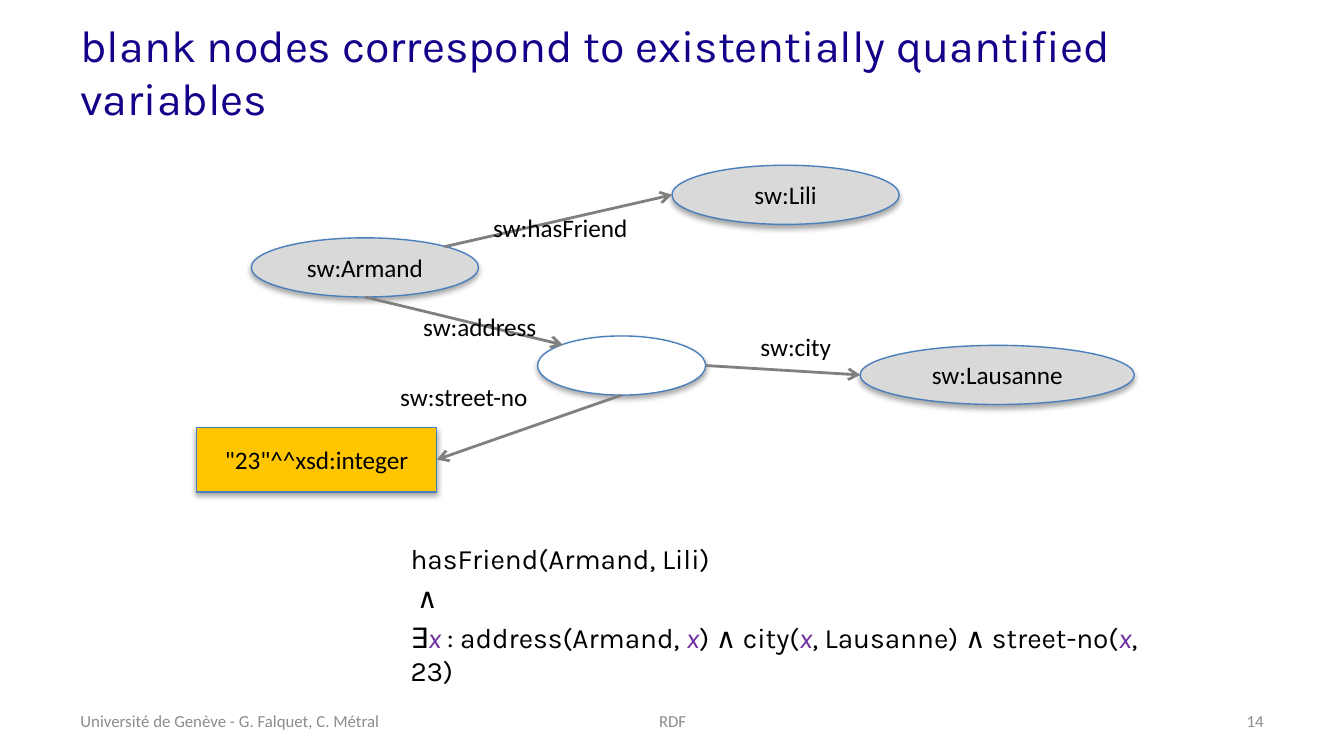
from dataclasses import dataclass

from lxml.etree import SubElement
from pptx import Presentation
from pptx.dml.color import RGBColor
from pptx.enum.shapes import MSO_CONNECTOR, MSO_SHAPE
from pptx.enum.text import MSO_ANCHOR as ANCHOR, PP_ALIGN as ALIGN
from pptx.oxml.ns import qn
from pptx.util import Inches, Pt

NAVY = RGBColor(0x13, 0x00, 0x89)
BLACK = RGBColor(0x00, 0x00, 0x00)
WHITE = RGBColor(0xFF, 0xFF, 0xFF)
MUTED = RGBColor(0x8C, 0x8C, 0x8C)
ARROW_GRAY = RGBColor(0x80, 0x80, 0x80)
NODE_GRAY = RGBColor(0xD9, 0xD9, 0xD9)
OUTLINE = RGBColor(0x4B, 0x7E, 0xBC)
AMBER = RGBColor(0xFF, 0xC6, 0x00)
PURPLE = RGBColor(0x70, 0x30, 0xA0)

COLUMNS, ROWS = 100, 56.25
CELL = Inches(0.1)

# Attachment points, as shares of a node's width and height
DIAGONAL = 0.15
LEFT, RIGHT, BOTTOM = (0, 0.5), (1, 0.5), (0.5, 1)
TOP_LEFT, TOP_RIGHT = (DIAGONAL, DIAGONAL), (1 - DIAGONAL, DIAGONAL)


@dataclass
class Box:
    """A rectangle in grid columns and rows."""
    left: float
    top: float
    width: float
    height: float

    def inner(self, left, top, width, height):
        return Box(self.left + left, self.top + top, width, height)

    def point(self, anchor):
        return (round((self.left + self.width * anchor[0]) * CELL),
                round((self.top + self.height * anchor[1]) * CELL))

    def emu(self):
        return [round(n * CELL) for n in (self.left, self.top, self.width, self.height)]


def write(frame, *paragraphs, size=13.5, font="Calibri", color=BLACK, align=ALIGN.LEFT,
          anchor=ANCHOR.MIDDLE, wrap=True, space_before=0):
    """Fill a text frame; each paragraph is a string or a list of (text, is_variable)."""
    frame.word_wrap = wrap
    frame.vertical_anchor = anchor
    for index, content in enumerate(paragraphs):
        paragraph = frame.add_paragraph() if index else frame.paragraphs[0]
        paragraph.alignment = align
        paragraph.space_before = Pt(space_before)
        for text, is_variable in [(content, False)] if isinstance(content, str) else content:
            run = paragraph.add_run()
            run.text = text
            run.font.size = Pt(size)
            run.font.name = font
            run.font.italic = is_variable
            run.font.color.rgb = PURPLE if is_variable else color


def add_text(slide, box, *paragraphs, **style):
    frame = slide.shapes.add_textbox(*box.emu()).text_frame
    write(frame, *paragraphs, **style)
    return frame


def add_drop_shadow(shape):
    shape.shadow.inherit = False
    effects = shape._element.spPr.find(qn("a:effectLst"))
    shadow = SubElement(effects, qn("a:outerShdw"), blurRad=str(Pt(3.1)),
                        dist=str(Pt(1.8)), dir="5400000", rotWithShape="0")
    black = SubElement(shadow, qn("a:srgbClr"), val="000000")
    SubElement(black, qn("a:alpha"), val="35000")


def add_node(slide, box, text, fill, preset):
    node = slide.shapes.add_shape(preset, *box.emu())
    node.fill.solid()
    node.fill.fore_color.rgb = fill
    node.line.color.rgb = OUTLINE
    node.line.width = Pt(0.75)
    add_drop_shadow(node)
    if text:
        write(node.text_frame, text, align=ALIGN.CENTER)


def add_arrow(slide, start, end):
    arrow = slide.shapes.add_connector(MSO_CONNECTOR.STRAIGHT, *start, *end)
    arrow.line.color.rgb = ARROW_GRAY
    arrow.line.width = Pt(1.5)
    SubElement(arrow.line._get_or_add_ln(), qn("a:tailEnd"), type="arrow")
    SubElement(arrow._element.spPr, qn("a:effectLst"))


def add_graph(slide, box):
    oval, oval_height = MSO_SHAPE.OVAL, 4.4
    nodes = {
        "armand": (box.inner(4.1, 5.4, 16.9, oval_height), "sw:Armand", NODE_GRAY, oval),
        "lili": (box.inner(35.4, 0, 16.9, oval_height), "sw:Lili", NODE_GRAY, oval),
        "blank": (box.inner(25.4, 12.7, 12.5, oval_height), "", WHITE, oval),
        "lausanne": (box.inner(49.4, 13.4, 20.4, oval_height), "sw:Lausanne", NODE_GRAY, oval),
        "number": (box.inner(0, 19.5, 17.9, 4.8), '"23"^^xsd:integer', AMBER,
                   MSO_SHAPE.RECTANGLE),
    }
    # Predicate, label place (left, top, width), start and end
    edges = [
        ("sw:hasFriend", (21.1, 3, 12.2), ("armand", TOP_RIGHT), ("lili", LEFT)),
        ("sw:address", (15.9, 10.4, 10.6), ("armand", BOTTOM), ("blank", TOP_LEFT)),
        ("sw:city", (41, 11.9, 7.3), ("blank", RIGHT), ("lausanne", LEFT)),
        ("sw:street-no", (14.2, 15.6, 11.6), ("blank", BOTTOM), ("number", RIGHT)),
    ]
    for node in nodes.values():
        add_node(slide, *node)
    for predicate, place, *ends in edges:
        add_arrow(slide, *(nodes[name][0].point(anchor) for name, anchor in ends))
        add_text(slide, box.inner(*place, 3.3), predicate, anchor=ANCHOR.TOP, wrap=False)


def add_formula(slide, box):
    existential = [
        ("∃", False), ("x ", True), (": address(Armand, ", False), ("x", True),
        (") ∧ city(", False), ("x", True), (", Lausanne) ∧ street-no(", False),
        ("x", True), (", 23)", False),
    ]
    frame = add_text(slide, box, "hasFriend(Armand, Lili)", " ∧", existential,
                     size=15, font="Karla", anchor=ANCHOR.TOP, space_before=3)
    frame.margin_left = frame.margin_right = Inches(0.07)
    frame.margin_top = frame.margin_bottom = Inches(0.04)


def add_footer(slide, box):
    for text, left, width, align in [
        ("Université de Genève - G. Falquet, C. Métral", 0, 29.2, ALIGN.LEFT),
        ("RDF", 29.2, 31.7, ALIGN.CENTER),
        ("14", 66.7, 23.3, ALIGN.RIGHT),
    ]:
        add_text(slide, box.inner(left, 0, width, box.height), text,
                 size=9, color=MUTED, align=align)


def main():
    deck = Presentation()
    deck.slide_width, deck.slide_height = round(COLUMNS * CELL), round(ROWS * CELL)
    slide = deck.slides.add_slide(deck.slide_layouts[6])
    add_text(slide, Box(5, 2.3, 90, 6),
             "blank nodes correspond to existentially quantified variables",
             size=24, font="Karla", color=NAVY)
    add_graph(slide, Box(14.6, 12.3, 69.8, 24.3))
    add_formula(slide, Box(29.85, 39.9, 57.3, 11.1))
    add_footer(slide, Box(5, 52.15, 90, 3))
    deck.save("out.pptx")


if __name__ == "__main__":
    main()
